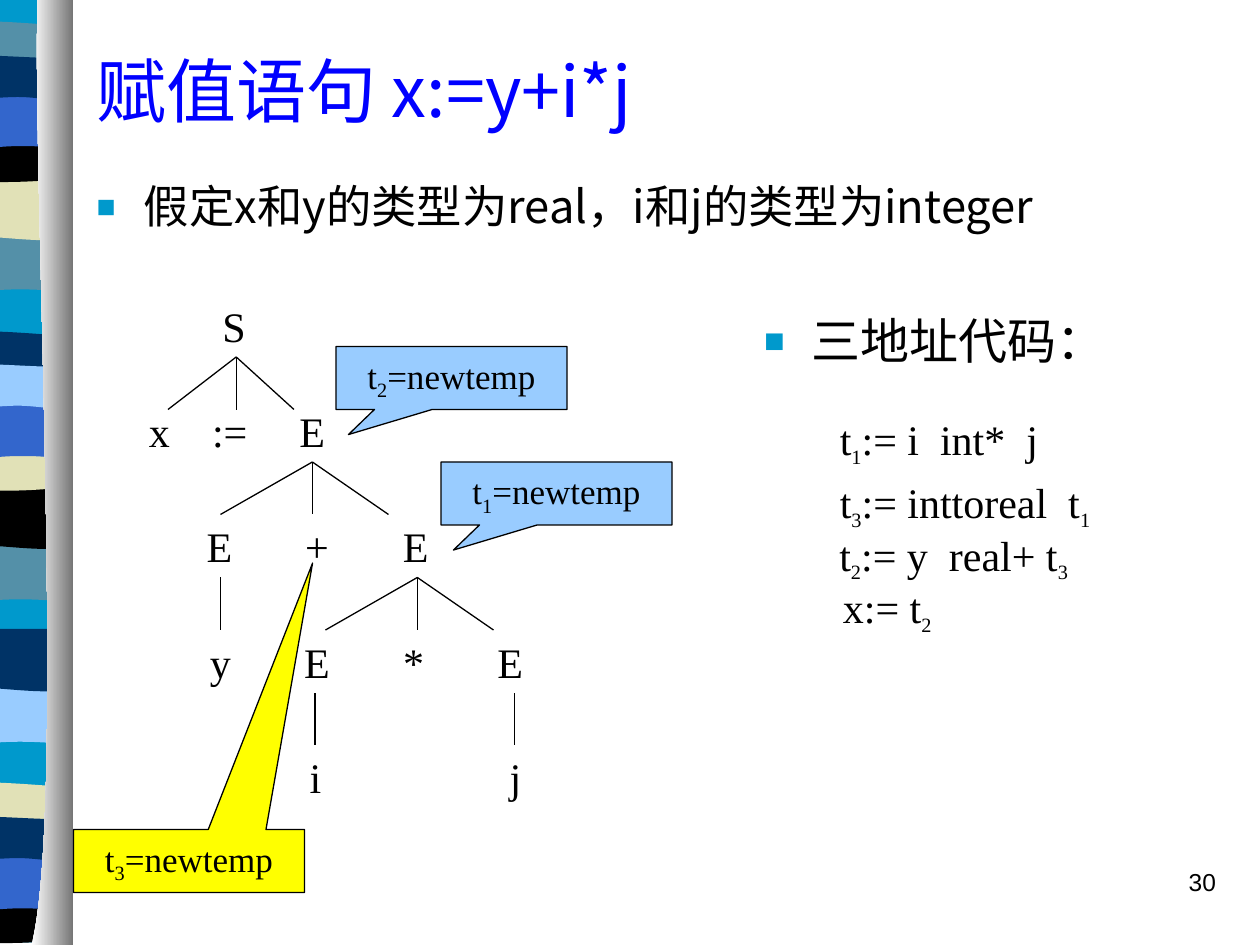
from lxml import etree
from pptx import Presentation
from pptx.dml.color import RGBColor
from pptx.enum import shapes, text
from pptx.oxml import ns
from pptx import util as u

# The slide is a grid of 120 columns by 90 rows, twelve to the inch
CELL = u.Inches(1) // 12
COLUMNS, ROWS = 120, 90

COLORS = {
    "ink": "000000", "title": "0000FF", "cyan": "0099CC", "teal": "5490A8",
    "navy": "003366", "blue": "3366CC", "cream": "E1E1B7", "sky": "99CCFF",
    "yellow": "FFFF00", "white": "FFFFFF", "gray": "767676",
}
SERIF, SANS, CJK = "Times New Roman", "Arial", "Noto Sans CJK SC"

# Band outlines in inches below the band's top; a list of three points is a curve
LEFT, RIGHT = -0.53, 0.56
PROFILES = {
    "wave": [(RIGHT, 0), (RIGHT, 0.47),
             [(-0.19, 0.39), (-0.35, 0.55), (LEFT, 0.47)], (LEFT, 0)],
    "swell": [(RIGHT, 0), (RIGHT, 0.47),
              [(0.37, 0.55), (-0.19, 0.42), (LEFT, 0.47)], (LEFT, 0)],
    "lens": [(RIGHT, 0.05), (RIGHT, 0.29),
             [(0.37, 0.33), (-0.35, 0.33), (LEFT, 0.29)], (LEFT, 0.05),
             [(-0.46, 0), (-0.29, 0.01), (-0.11, 0.01)],
             [(0.07, 0.01), (0.42, 0.04), (RIGHT, 0.05)]],
    "bowl": [(RIGHT, 0), (RIGHT, 0.32),
             [(0.37, 0.38), (-0.35, 0.38), (LEFT, 0.32)], (LEFT, 0),
             [(0.14, 0.05), (0.33, 0), (RIGHT, 0)]],
    "arch": [(RIGHT, 0), (RIGHT, 0.47),
             [(0.39, 0.42), (0.32, 0.42), (0.14, 0.42)],
             [(-0.04, 0.42), (-0.36, 0.47), (LEFT, 0.47)], (LEFT, 0)],
    "slab": [(RIGHT, 0.05), (RIGHT, 0.36),
             [(0.49, 0.41), (0.32, 0.36), (0.14, 0.36)],
             [(-0.04, 0.36), (-0.42, 0.41), (LEFT, 0.36)], (LEFT, 0.05),
             [(-0.38, 0), (0.21, 0.05), (0.39, 0.05)]],
    "backing": [(RIGHT, 0), (RIGHT, 7.48), (LEFT, 7.48), (LEFT, 0)],
}
BANDS = [
    ("backing", 0, "cyan"),
    ("wave", 1.85, "teal"), ("swell", 1.41, "cream"), ("lens", 0.16, "teal"),
    ("bowl", 1.08, "ink"), ("arch", 0.74, "blue"), ("slab", 0.41, "navy"),
    ("wave", 4.31, "teal"), ("swell", 3.86, "ink"), ("lens", 2.62, "navy"),
    ("bowl", 3.53, "cream"), ("arch", 3.2, "blue"), ("slab", 2.86, "sky"),
    ("wave", 5.44, "sky"), ("swell", 4.99, "navy"), ("lens", 6.2, "cream"),
    ("bowl", 7.12, "ink"), ("arch", 6.79, "blue"), ("slab", 6.45, "navy"),
]
PAGE_EDGE = [(0.3, 0), [(0.25, 1.25), (0.53, 6.46), (0.25, 7.5)],
             (0.58, 7.5), (0.58, 0)]

# Parse tree levels: left, top and width, first symbol, then symbols with centres
TREE_LEVELS = [
    ((20, 28, 4.6), "S", []),
    ((13, 38, 20.2), "x", [(":=", 21.9), ("E", 29.75)]),
    ((18.5, 49, 24.5), "E", [("+", 30.2), ("E", 39.6)]),
    ((18.8, 60, 33.3), "y", [("E", 30.2), ("*", 39.4), ("E", 48.6)]),
    ((28.3, 71, 25.6), "i", [("j", 49.1)]),
]
INSET = 1.2
# Branches: parent column, top row, child columns
BRANCHES = [
    (22.5, 34, (16, 28, 22.5)), (29.75, 44, (21, 37, 29.75)),
    (39.75, 55, (31, 47, 39.75)), (21, 55, (21,)),
    (30, 66, (30,)), (49, 66, (49,)),
]
BRANCH_ROWS = 5

# An underscore sets the next character as a subscript
CALLOUTS = [
    ("t_1=newtemp", 42, 44, "sky", (-0.446, 0.899)),
    ("t_2=newtemp", 32, 33, "sky", (-0.446, 0.899)),
    ("t_3=newtemp", 7, 79, "yellow", (0.535, -4.729)),
]
CODE = [
    ("t_1:= i  int*  j", 78.8, 38.75, 21.2),
    ("t_3:= inttoreal  t_1", 78.8, 44.75, 26.3),
    ("t_2:= y  real+ t_3", 78.75, 49.75, 24.1),
    ("x:= t_2", 79.1, 54.75, 10.8),
]


def rgb(name):
    return RGBColor.from_string(COLORS[name])


def cells(*counts):
    return [round(count * CELL) for count in counts]


def place(shape, box):
    shape.left, shape.top, shape.width, shape.height = cells(*box)


def add_run(paragraph, words, size, font, color, subscript=False):
    run = paragraph.add_run()
    run.text = words
    run.font.size, run.font.name = u.Pt(size), font
    run.font.color.rgb = rgb(color)
    properties = run.font._element
    latin = properties.find(ns.qn("a:latin"))
    latin.addnext(properties.makeelement(ns.qn("a:ea"), {"typeface": font}))
    if subscript:
        properties.set("baseline", "-25000")


def add_bullet(paragraph):
    properties = paragraph._p.get_or_add_pPr()
    hang = str(u.Inches(0.375))
    properties.set("marL", hang)
    properties.set("indent", "-" + hang)
    color = etree.SubElement(properties, ns.qn("a:buClr"))
    etree.SubElement(color, ns.qn("a:srgbClr"), val=COLORS["cyan"])
    etree.SubElement(properties, ns.qn("a:buSzPct"), val="70000")
    etree.SubElement(properties, ns.qn("a:buFont"), typeface=SANS)
    etree.SubElement(properties, ns.qn("a:buChar"), char="■")


def add_tabs(paragraph, stops):
    tabs = etree.SubElement(paragraph._p.get_or_add_pPr(), ns.qn("a:tabLst"))
    for stop in cells(*stops):
        etree.SubElement(tabs, ns.qn("a:tab"), pos=str(stop), algn="ctr")


def write(shape, words, size=24, font=SERIF, color="ink", align="LEFT",
          anchor="MIDDLE", wrap=False, bullet=False, spacing=None, tabs=()):
    """Fill a shape with one formatted paragraph."""
    frame = shape.text_frame
    frame.auto_size = text.MSO_AUTO_SIZE.NONE
    frame.word_wrap = wrap
    frame.vertical_anchor = text.MSO_ANCHOR[anchor]
    paragraph = frame.paragraphs[0]
    paragraph.alignment = text.PP_ALIGN[align]
    paragraph.space_before = u.Pt(0)
    if bullet:
        add_bullet(paragraph)
    if tabs:
        add_tabs(paragraph, tabs)
    if spacing:
        paragraph.line_spacing = spacing
    first, *rest = words.split("_")
    add_run(paragraph, first, size, font, color)
    for part in rest:
        add_run(paragraph, part[0], 20, font, color, subscript=True)
        if part[1:]:
            add_run(paragraph, part[1:], size, font, color)


def add_label(slide, words, box, **style):
    write(slide.shapes.add_textbox(*cells(*box)), words, **style)


def add_outline(slide, profile, top=0):
    """Draw a closed outline whose three-point lists become Bezier curves."""
    def at(x, y):
        return u.Inches(x), u.Inches(top + y)

    builder = slide.shapes.build_freeform(*at(*profile[0]), scale=1.0)
    for step in profile[1:]:
        points = step if isinstance(step, list) else [step]
        builder.add_line_segments([at(*point) for point in points], close=False)
    builder.add_line_segments([at(*profile[0])], close=True)
    outline = builder.convert_to_shape()
    segments = iter(outline._element.findall(".//" + ns.qn("a:lnTo")))
    for step in profile[1:]:
        segment = next(segments)
        if isinstance(step, list):
            segment.addprevious(curve := etree.Element(ns.qn("a:cubicBezTo")))
            for knot in (segment, next(segments), next(segments)):
                curve.append(knot[0])
                knot.getparent().remove(knot)
    outline.shadow.inherit = False
    outline.line.fill.background()
    return outline


def add_ribbon(slide):
    for profile, top, color in BANDS:
        band = add_outline(slide, PROFILES[profile], top)
        band.fill.solid()
        band.fill.fore_color.rgb = rgb(color)

    # Shaded page edge over the ribbon
    edge = add_outline(slide, PAGE_EDGE)
    edge.fill.gradient()
    edge.fill.gradient_angle = 0
    for stop, color in zip(edge.fill.gradient_stops, ("white", "gray")):
        stop.color.rgb = rgb(color)


def add_branch(slide, parent, top, children):
    for child in children:
        branch = slide.shapes.add_connector(
            shapes.MSO_CONNECTOR.STRAIGHT,
            *cells(parent, top, child, top + BRANCH_ROWS))
        branch.line.color.rgb = rgb("ink")
        branch.line.width = u.Pt(0.75)
        etree.SubElement(branch._element.spPr, ns.qn("a:effectLst"))


def add_callout(slide, words, column, row, color, tip):
    callout = slide.shapes.add_shape(
        shapes.MSO_SHAPE.RECTANGULAR_CALLOUT, *cells(column, row, 22, 6))
    callout.adjustments[0], callout.adjustments[1] = tip
    callout.shadow.inherit = False
    callout.fill.solid()
    callout.fill.fore_color.rgb = rgb(color)
    callout.line.color.rgb = rgb("ink")
    callout.line.width = u.Pt(0.75)
    write(callout, words, size=20, align="CENTER")


def main():
    deck = Presentation()
    deck.slide_width, deck.slide_height = cells(COLUMNS, ROWS)
    slide = deck.slides.add_slide(deck.slide_layouts[1])
    add_ribbon(slide)

    # Title and lists
    heading, assumption = slide.placeholders
    place(heading, (8, 1, 109.5, 15))
    write(heading, "赋值语句 x:=y+i*j", size=40, font=CJK, color="title", wrap=True)
    place(assumption, (8, 17, 109.5, 9))
    listing = dict(font=CJK, anchor="TOP", wrap=True, bullet=True)
    write(assumption, "假定x和y的类型为real，i和j的类型为integer",
          size=25.9, spacing=0.9, **listing)
    add_label(slide, "三地址代码：", (71.6, 29, 41.4, 9), size=28, **listing)

    # Parse tree
    for (left, top, width), first, others in TREE_LEVELS:
        add_label(slide, "\t".join([first] + [symbol for symbol, _ in others]),
                  (left, top, width, 6), wrap=True,
                  tabs=[center - left - INSET for _, center in others])
    for branch in BRANCHES:
        add_branch(slide, *branch)
    for callout in CALLOUTS:
        add_callout(slide, *callout)

    # Three-address code and page number
    for words, column, row, width in CODE:
        add_label(slide, words, (column, row, width, 6.5))
    add_label(slide, "30", (92, 82, 25, 6), size=14, font=SANS,
              align="RIGHT", anchor="TOP", wrap=True)
    deck.save("out.pptx")


if __name__ == "__main__":
    main()
